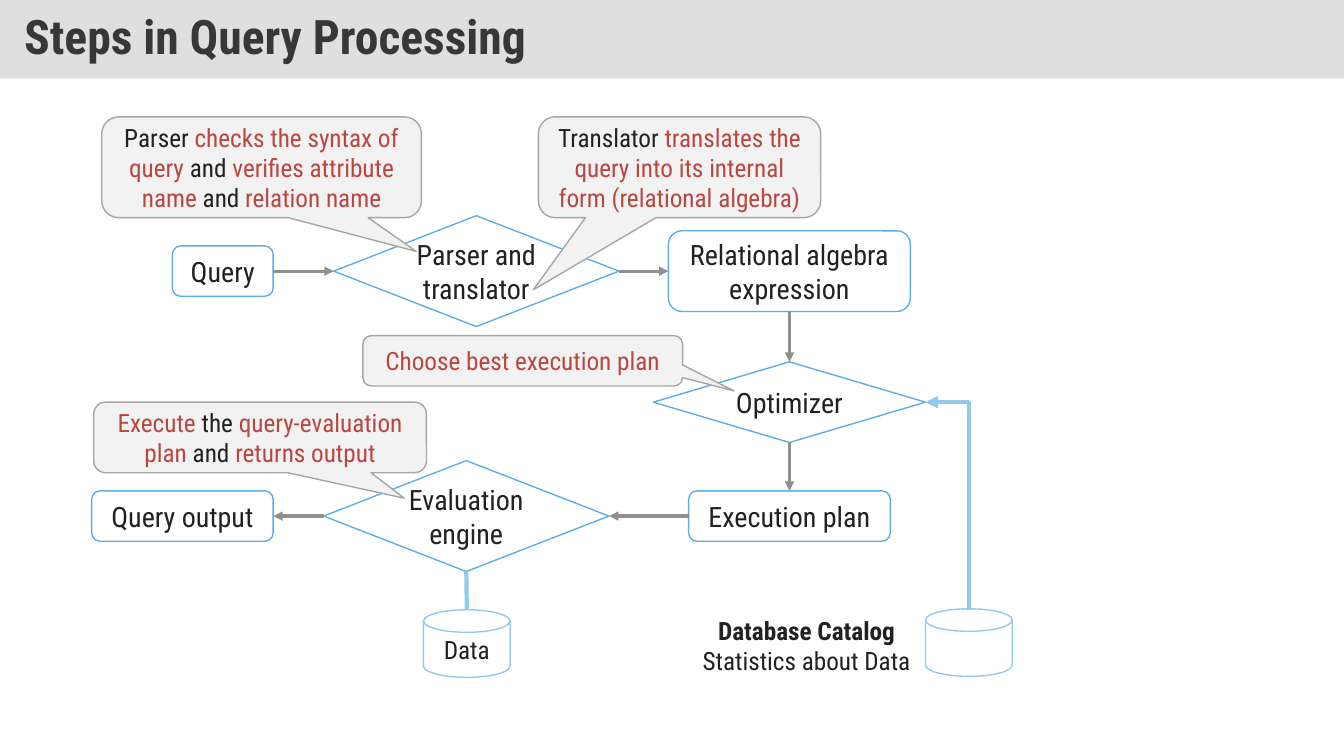
"""Build the slide on the steps in query processing."""
import pptx
import pptx.util
import pptx.dml.color
import pptx.enum.shapes
import pptx.enum.text
import pptx.oxml.ns
from lxml import etree

Inches = pptx.util.Inches
Pt = pptx.util.Pt
SHAPE = pptx.enum.shapes.MSO_SHAPE
CONNECTOR = pptx.enum.shapes.MSO_CONNECTOR
CENTER = pptx.enum.text.PP_ALIGN.CENTER
MIDDLE = pptx.enum.text.MSO_ANCHOR.MIDDLE
qn = pptx.oxml.ns.qn
FONT = "Roboto Condensed"
COLORS = {
    name: pptx.dml.color.RGBColor.from_string(value)
    for name, value in {
        "band": "C0C0C0", "title": "373737", "text": "212121", "accent": "B84742",
        "node": "5FADE4", "store": "94C8ED", "arrow": "909090",
        "callout": "F2F2F2", "callout_line": "A6A6A6",
    }.items()
}
TOP, LEFT, BOTTOM, RIGHT = range(4)


def add_box(kind, bounds, outline, lines, size, fill=None):
    """Add a shape whose lines are lists of (text, color name) spans."""
    box = page.shapes.add_shape(kind, *[Inches(value) for value in bounds])
    box.shadow.inherit = False
    if fill:
        box.fill.solid()
        box.fill.fore_color.rgb = COLORS[fill]
    else:
        box.fill.background()
    box.line.color.rgb = COLORS[outline]
    box.line.width = Pt(1)
    frame = box.text_frame
    frame.word_wrap = True
    frame.vertical_anchor = MIDDLE
    for number, spans in enumerate(lines):
        para = frame.add_paragraph() if number else frame.paragraphs[0]
        para.alignment = CENTER
        para.font.name = FONT
        para.font.size = Pt(size)
        for text, color in spans:
            span = para.add_run()
            span.text = text
            span.font.color.rgb = COLORS[color]
    return box


def add_link(kind, points, color, width, arrow=None):
    """Add a connector, with an arrowhead at headEnd or tailEnd if named."""
    link = page.shapes.add_connector(kind, *[Inches(value) for value in points])
    link.line.color.rgb = COLORS[color]
    link.line.width = Pt(width)
    if arrow:
        etree.SubElement(link.line._get_or_add_ln(), qn("a:" + arrow), type="triangle")
    etree.SubElement(link._element.spPr, qn("a:effectLst"))
    return link


deck = pptx.Presentation()
deck.slide_width = Inches(13.33)
deck.slide_height = Inches(7.5)
page = deck.slides.add_slide(deck.slide_layouts[5])

title = page.shapes.title
title.left, title.top = Inches(0), Inches(0)
title.width, title.height = Inches(13.33), Inches(0.78)
title.fill.solid()
title.fill.fore_color.rgb = COLORS["band"]
band_color = title._element.spPr.find(qn("a:solidFill"))[0]
etree.SubElement(band_color, qn("a:alpha"), val="50000")
frame = title.text_frame
frame.text = "Steps in Query Processing"
frame.auto_size = pptx.enum.text.MSO_AUTO_SIZE.NONE
frame.vertical_anchor = MIDDLE
frame.margin_left = frame.margin_right = Inches(0.24)
frame.margin_top = frame.margin_bottom = Inches(0.12)
para = frame.paragraphs[0]
para.alignment = pptx.enum.text.PP_ALIGN.LEFT
para.line_spacing = 0.9
para.font.name = FONT
para.font.size = Pt(34)
para.font.bold = True
para.font.color.rgb = COLORS["title"]

nodes = {}
for name, kind, bounds, lines in [
    ("parser", SHAPE.FLOWCHART_DECISION, (3.31, 2.14, 2.83, 1.1), ["Parser and translator"]),
    ("query", SHAPE.ROUNDED_RECTANGLE, (1.71, 2.44, 1, 0.5), ["Query"]),
    ("algebra", SHAPE.ROUNDED_RECTANGLE, (6.63, 2.29, 2.4, 0.8),
     ["Relational algebra", "expression"]),
    ("optimizer", SHAPE.FLOWCHART_DECISION, (6.48, 3.59, 2.7, 0.8), ["Optimizer"]),
    ("plan", SHAPE.ROUNDED_RECTANGLE, (6.83, 4.87, 2, 0.5), ["Execution plan"]),
    ("engine", SHAPE.FLOWCHART_DECISION, (3.21, 4.57, 2.83, 1.1), ["Evaluation", "engine"]),
    ("output", SHAPE.ROUNDED_RECTANGLE, (0.91, 4.87, 1.8, 0.5), ["Query output"]),
]:
    spans = [[(line, "text")] for line in lines]
    nodes[name] = add_box(kind, bounds, "node", spans, 20)

add_box(SHAPE.FLOWCHART_MAGNETIC_DISK, (9.18, 6.04, 0.86, 0.67), "store", [], 18)
add_box(SHAPE.FLOWCHART_MAGNETIC_DISK, (4.2, 6.05, 0.86, 0.67), "store",
        [[("Data", "text")]], 18)

catalog = page.shapes.add_textbox(Inches(6.83), Inches(6.05), Inches(2.34), Inches(0.71))
catalog.text_frame.word_wrap = True
para = catalog.text_frame.paragraphs[0]
para.alignment = CENTER
para.font.name = FONT
para.font.size = Pt(18)
para.font.color.rgb = COLORS["text"]
for text, bold in [("Database Catalog ", True), ("Statistics about Data", False)]:
    span = para.add_run()
    span.text = text
    span.font.bold = bold

for start, start_side, end, end_side in [
    ("query", RIGHT, "parser", LEFT),
    ("parser", RIGHT, "algebra", LEFT),
    ("algebra", BOTTOM, "optimizer", TOP),
    ("optimizer", BOTTOM, "plan", TOP),
    ("plan", LEFT, "engine", RIGHT),
    ("engine", LEFT, "output", RIGHT),
]:
    link = add_link(CONNECTOR.STRAIGHT, (0, 0, 1, 1), "arrow", 2.25, "tailEnd")
    link.begin_connect(nodes[start], start_side)
    link.end_connect(nodes[end], end_side)

data_link = add_link(CONNECTOR.STRAIGHT, (4.63, 6.05, 4.63, 5.67), "store", 3)
data_link.end_connect(nodes["engine"], BOTTOM)
catalog_link = add_link(CONNECTOR.ELBOW, (9.18, 3.99, 9.61, 6.05), "store", 3, "headEnd")
bend = catalog_link._element.spPr.find(qn("a:prstGeom")).get_or_add_avLst()
etree.SubElement(bend, qn("a:gd"), name="adj1", fmla="val 100000")

for bounds, tip, spans in [
    ((1.01, 1.16, 3.17, 1), (0.484, 0.835), [
        ("Parser ", "text"), ("checks the syntax of query ", "accent"), ("and ", "text"),
        ("verifies attribute name ", "accent"), ("and ", "text"), ("relation name", "accent")]),
    ((5.34, 1.16, 2.8, 1), (-0.518, 1.216), [
        ("Translator ", "text"),
        ("translates the query into its internal form (relational algebra)", "accent")]),
    ((3.6, 3.33, 3.17, 0.5), (0.661, 0.597), [("Choose best execution plan", "accent")]),
    ((0.93, 3.99, 3.3, 0.7), (0.433, 0.861), [
        ("Execute ", "accent"), ("the ", "text"), ("query-evaluation plan ", "accent"),
        ("and ", "text"), ("returns output", "accent")]),
]:
    callout = add_box(SHAPE.ROUNDED_RECTANGULAR_CALLOUT, bounds, "callout_line",
                      [spans], 18, "callout")
    callout.adjustments[0], callout.adjustments[1] = tip

deck.save("out.pptx")
